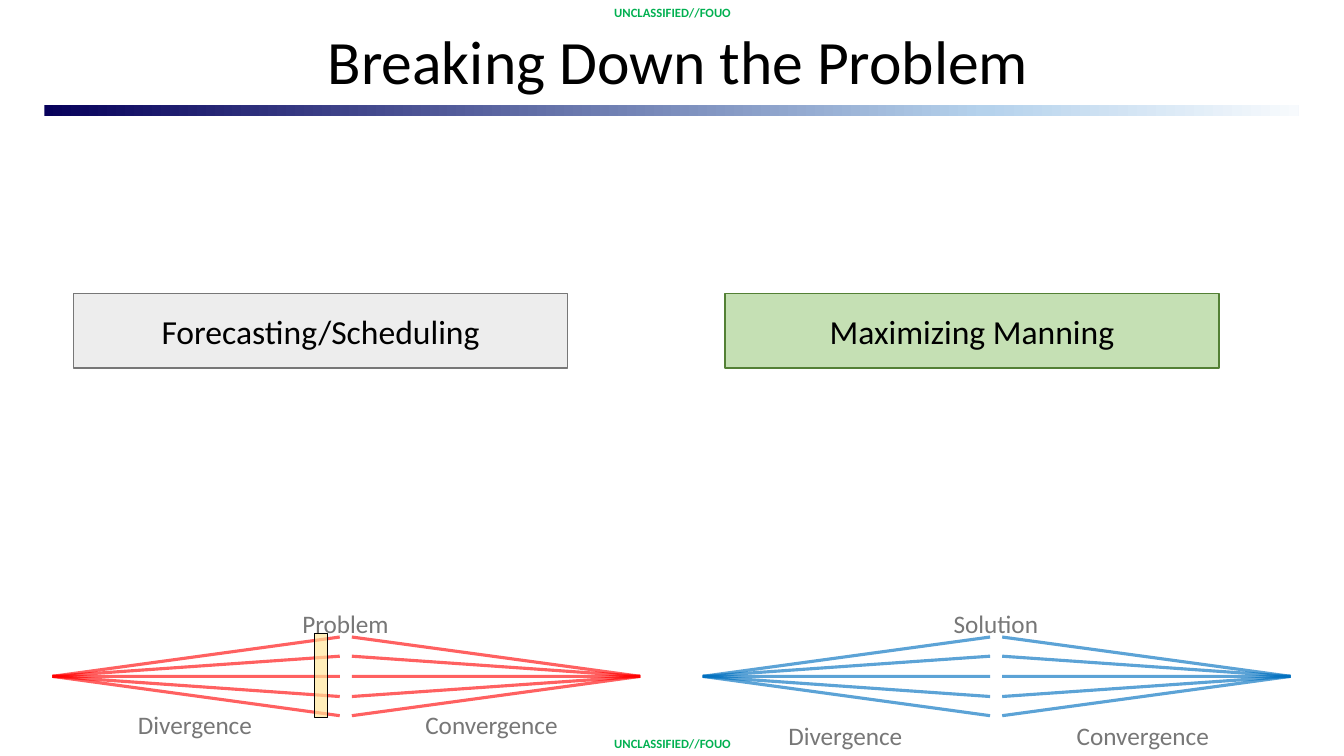
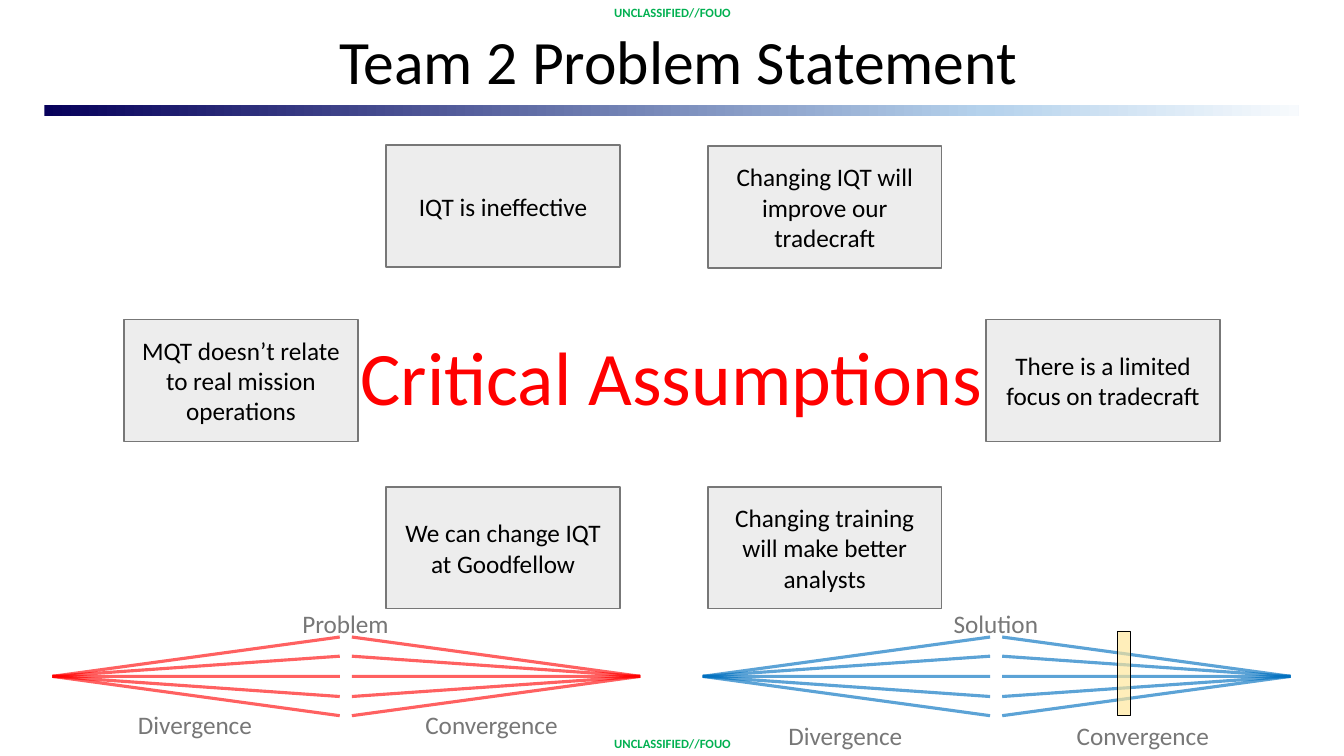
from copy import deepcopy
from dataclasses import dataclass

from pptx import Presentation
from pptx.dml.color import RGBColor
from pptx.enum.shapes import MSO_CONNECTOR, MSO_SHAPE
from pptx.enum.text import MSO_ANCHOR, MSO_AUTO_SIZE, PP_ALIGN
from pptx.oxml.ns import qn
from pptx.oxml.xmlchemy import OxmlElement
from pptx.util import Emu, Pt

PX = 9144  # 100 px to the inch


@dataclass(frozen=True)
class Theme:
    font: str = "Calibri"
    ink: str = "000000"
    label: str = "777777"
    marking: str = "00B050"
    problem: str = "FF0000"
    solution: str = "0070C0"
    highlight: str = "FFE699"
    grey: tuple = ("EDEDED", "777777")
    green: tuple = ("C5E0B4", "538035")
    rule: tuple = ((0, "07015B"), (0.75, "B5D2EC"), (1, "F7FAFD"))
    title_size: int = 44
    hero_size: int = 54
    topic_size: int = 24
    body_size: int = 18
    marking_size: int = 9


def px(*lengths):
    return [Emu(length * PX) for length in lengths]


def rgb(value):
    return RGBColor.from_string(value)


def set_opacity(element, percent):
    for color in element.spPr.iter(qn("a:srgbClr")):
        alpha = OxmlElement("a:alpha")
        alpha.set("val", str(percent * 1000))
        color.append(alpha)


class Briefing:
    def __init__(self, theme):
        self.theme = theme
        self.deck = Presentation()
        self.deck.slide_width, self.deck.slide_height = px(1333, 750)
        self.page = None

    # Text
    def set_text(self, frame, text, size, color, align=PP_ALIGN.CENTER, bold=False):
        frame.text = text
        para = frame.paragraphs[0]
        para.alignment = align
        para.font.name = self.theme.font
        para.font.size = Pt(size)
        para.font.bold = bold
        para.font.color.rgb = rgb(color)
        return para

    def text(self, place, text, size, color, wrap=False, **style):
        frame = self.page.shapes.add_textbox(*px(*place)).text_frame
        frame.word_wrap = wrap
        frame.auto_size = MSO_AUTO_SIZE.SHAPE_TO_FIT_TEXT
        self.set_text(frame, text, size, color, **style)

    def title(self, text):
        box = self.page.shapes.title
        box.left, box.top, box.width, box.height = px(149, 15, 1048, 98)
        frame = box.text_frame
        frame.auto_size = MSO_AUTO_SIZE.NONE
        frame.vertical_anchor = MSO_ANCHOR.MIDDLE
        para = self.set_text(frame, text, self.theme.title_size, self.theme.ink)
        para.line_spacing = 0.9

    # Shapes
    def rectangle(self, place):
        box = self.page.shapes.add_shape(MSO_SHAPE.RECTANGLE, *px(*place))
        box.shadow.inherit = False
        return box

    def panel(self, place, text, size, colors):
        box = self.rectangle(place)
        fill, outline = colors
        box.fill.solid()
        box.fill.fore_color.rgb = rgb(fill)
        box.line.color.rgb = rgb(outline)
        box.line.width = Pt(1)
        box.text_frame.vertical_anchor = MSO_ANCHOR.MIDDLE
        self.set_text(box.text_frame, text, size, self.theme.ink)

    def stage_marker(self, left, top):
        box = self.rectangle((left, top, 13, 84))
        box.fill.solid()
        box.fill.fore_color.rgb = rgb(self.theme.highlight)
        set_opacity(box.element, 67)
        box.line.color.rgb = rgb(self.theme.ink)
        box.line.width = Pt(0.5)

    def title_rule(self):
        box = self.rectangle((44, 104, 1244, 11))
        box.line.fill.background()
        box.fill.gradient()
        box.fill.gradient_angle = 0
        stop_list = next(box.element.spPr.iter(qn("a:gsLst")))
        stop_list.append(deepcopy(stop_list[0]))
        for stop, (position, color) in zip(box.fill.gradient_stops, self.theme.rule):
            stop.position = position
            stop.color.rgb = rgb(color)

    def line(self, start, end, color, opacity):
        connector = self.page.shapes.add_connector(
            MSO_CONNECTOR.STRAIGHT, *px(*start, *end))
        connector.line.color.rgb = rgb(color)
        connector.line.width = Pt(2.25)
        set_opacity(connector.element, opacity)
        connector.element.spPr.append(OxmlElement("a:effectLst"))

    # Two facing fans: divergence, then convergence
    def fans(self, left, color, opacity):
        middle = 671
        for tip, edge in ((left, left + 285), (left + 583, left + 297)):
            for rise in (0, -20, -39, 39, 20):
                self.line((tip, middle), (edge, middle + rise), color, opacity)

    # Everything the slides share
    def add_page(self, title):
        theme = self.theme
        self.page = self.deck.slides.add_slide(self.deck.slide_layouts[5])
        self.title(title)
        self.title_rule()
        self.fans(52, theme.problem, 61)
        self.fans(697, theme.solution, 63)
        for text, left, top, width in (
            ("Problem", 290, 599, 107), ("Solution", 936, 599, 105),
            ("Divergence", 127, 699, 135), ("Divergence", 772, 710, 135),
            ("Convergence", 412, 699, 159), ("Convergence", 1058, 710, 159),
        ):
            self.text((left, top, width, 40), text, theme.body_size,
                      theme.label, align=PP_ALIGN.LEFT)
        for top in (0, 725):
            self.text((167, top, 1000, 25), "UNCLASSIFIED//FOUO",
                      theme.marking_size, theme.marking, wrap=True, bold=True)


def main():
    theme = Theme()
    briefing = Briefing(theme)

    # Slide 1: two halves of the problem
    briefing.add_page("Breaking Down the Problem")
    briefing.stage_marker(312, 628)
    for text, left, colors in (
        ("Forecasting/Scheduling", 73, theme.grey),
        ("Maximizing Manning", 719, theme.green),
    ):
        briefing.panel((left, 291, 490, 74), text, theme.topic_size, colors)

    # Slide 2: assumptions around the centre
    briefing.add_page("Team 2 Problem Statement")
    briefing.stage_marker(1108, 626)
    for text, left, top in (
        ("IQT is ineffective", 383, 144),
        ("Changing IQT will improve our tradecraft", 702, 145),
        ("MQT doesn’t relate to real mission operations", 123, 317),
        ("We can change IQT at Goodfellow", 383, 483),
        ("Changing training will make better analysts", 702, 483),
        ("There is a limited focus on tradecraft", 978, 317),
    ):
        briefing.panel((left, top, 232, 121), text, theme.body_size, theme.grey)
    briefing.text((344, 322, 644, 101), "Critical Assumptions",
                  theme.hero_size, theme.problem)

    briefing.deck.save("out.pptx")


if __name__ == "__main__":
    main()
